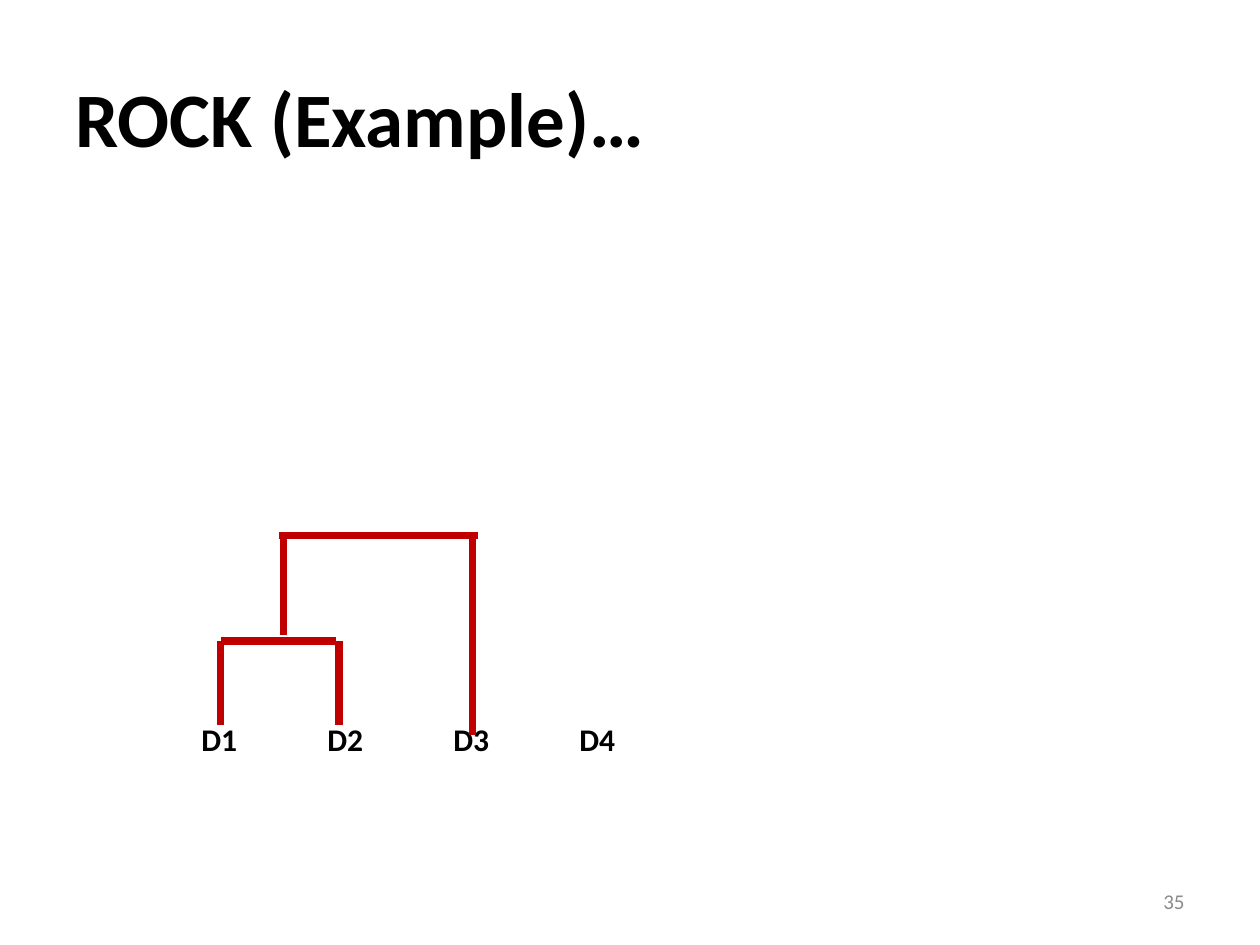
from pptx import Presentation
from pptx.dml.color import RGBColor
from pptx.enum.shapes import MSO_CONNECTOR
from pptx.enum.text import MSO_ANCHOR, MSO_AUTO_SIZE, PP_ALIGN
from pptx.oxml.ns import qn
from pptx.util import Inches, Pt
from lxml.etree import SubElement

COLORS = {"text": "000000", "number": "8C8C8C", "branch": "C00000"}
CELL = 0.5  # inches; the slide is a grid of 20 columns by 15 rows
LABEL_STEP = 2  # columns between neighbouring labels


def grid(*cells):
    return [Inches(cell * CELL) for cell in cells]


class DendrogramSlide:
    font = "Calibri"
    branch_width = Pt(4.5)

    def __init__(self, presentation):
        self.slide = presentation.slides.add_slide(presentation.slide_layouts[6])

    def text(self, text, box, size, color="text", bold=False,
             anchor=MSO_ANCHOR.MIDDLE, align=PP_ALIGN.LEFT, wrap=True):
        shape = self.slide.shapes.add_textbox(*grid(*box))
        text_frame = shape.text_frame
        text_frame.text = text
        text_frame.word_wrap = wrap
        text_frame.auto_size = MSO_AUTO_SIZE.NONE if wrap else MSO_AUTO_SIZE.SHAPE_TO_FIT_TEXT
        text_frame.vertical_anchor = anchor
        paragraph = text_frame.paragraphs[0]
        paragraph.alignment = align
        font = paragraph.runs[0].font
        font.name, font.size, font.bold = self.font, Pt(size), bold
        font.color.rgb = RGBColor.from_string(COLORS[color])
        return paragraph

    def labels(self, names, box, size):
        """Write the names on one line, a tab stop apart."""
        paragraph = self.text("\t".join(names), box, size, bold=True,
                              anchor=MSO_ANCHOR.TOP, wrap=False)
        tab_list = SubElement(paragraph._p.get_or_add_pPr(), qn("a:tabLst"))
        for position in grid(*(LABEL_STEP * index for index in range(1, len(names)))):
            SubElement(tab_list, qn("a:tab"), pos=str(int(position)), algn="l")

    def branch(self, start, end):
        connector = self.slide.shapes.add_connector(
            MSO_CONNECTOR.STRAIGHT, *grid(*start, *end))
        connector.line.width = self.branch_width
        connector.line.color.rgb = RGBColor.from_string(COLORS["branch"])
        SubElement(connector._element.spPr, qn("a:effectLst"))

    def merge(self, stems, height, bar):
        """Join stems, given as (column, bottom row), by a bar at row height."""
        for column, bottom in stems:
            self.branch((column, bottom), (column, height))
        self.branch((bar[0], height), (bar[1], height))


def main():
    presentation = Presentation()
    presentation.slide_width, presentation.slide_height = grid(20, 15)

    page = DendrogramSlide(presentation)
    page.text("ROCK (Example)…", (1, 0.6, 18, 2.5), 44, bold=True)
    page.text("35", (14.33, 13.9, 4.67, 0.8), 12, "number", align=PP_ALIGN.RIGHT)
    page.labels(["D1", "D2", "D3", "D4"], (3, 11.33, 7.04, 0.8), 18)
    page.merge([(3.5, 11.5), (5.38, 11.5)], 10.17, bar=(3.5, 5.33))
    page.merge([(7.5, 11.67), (4.5, 10.08)], 8.5, bar=(4.43, 7.59))

    presentation.save("out.pptx")


if __name__ == "__main__":
    main()
